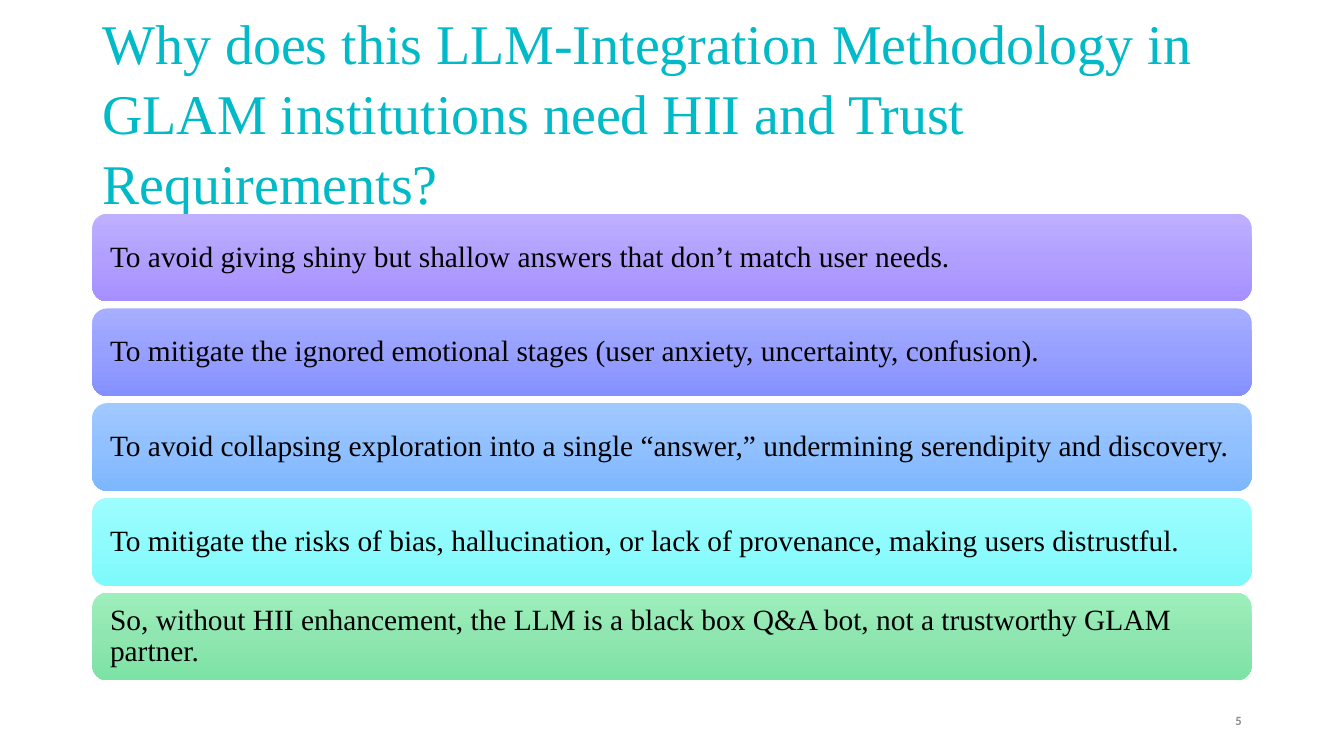
from copy import deepcopy

from pptx import Presentation
from pptx.dml.color import RGBColor
from pptx.enum import shapes, text
from pptx.oxml.ns import qn
from pptx.util import Pt

TITLE = ("Why does this LLM-Integration Methodology in GLAM institutions "
         "need HII and Trust Requirements?")
REASONS = [
    ("To avoid giving shiny but shallow answers that don’t match user needs.",
     ("BFB0FF", "B2A0FF", "A690FF")),
    ("To mitigate the ignored emotional stages (user anxiety, uncertainty, confusion).",
     ("A6AFFF", "97A0FF", "8490FF")),
    ("To avoid collapsing exploration into a single “answer,” undermining serendipity and discovery.",
     ("A0C9FF", "91C0FF", "7DB7FF")),
    ("To mitigate the risks of bias, hallucination, or lack of provenance, making users distrustful.",
     ("9EFDFF", "90FBFD", "7CFAFC")),
    ("So, without HII enhancement, the LLM is a black box Q&A bot, not a trustworthy GLAM partner.",
     ("9DEFBB", "90E6B0", "7CE3A5")),
]
PAGE_NUMBER = "5"

TEAL = RGBColor(0x00, 0xBA, 0xC8)
BLACK = RGBColor(0x00, 0x00, 0x00)
GRAY = RGBColor(0x8C, 0x8C, 0x8C)
SERIF = "Times New Roman"

LEFT, WIDTH = 66, 828
BARS_TOP, BAR_HEIGHT, BAR_GAP = 152.7, 62.6, 5.05


def write(frame, words, size, color, font=SERIF, bold=False,
          align=text.PP_ALIGN.LEFT, anchor=text.MSO_ANCHOR.MIDDLE, spacing=1.0):
    frame.word_wrap = True
    frame.vertical_anchor = anchor
    paragraph = frame.paragraphs[0]
    paragraph.alignment = align
    paragraph.line_spacing = spacing
    run = paragraph.add_run()
    run.text = words
    run.font.name = font
    run.font.size = Pt(size)
    run.font.bold = bold
    run.font.color.rgb = color


def shade(bar, colors):
    bar.fill.gradient()
    bar.fill.gradient_angle = 270
    stop_list = bar._element.spPr.find(qn("a:gradFill")).find(qn("a:gsLst"))
    stop_list.insert(1, deepcopy(stop_list[0]))
    for position, (stop, color) in enumerate(zip(bar.fill.gradient_stops, colors)):
        stop.position = position / 2
        stop.color.rgb = RGBColor.from_string(color)


def add_reason(slide, index, words, colors):
    top = BARS_TOP + index * (BAR_HEIGHT + BAR_GAP)
    bar = slide.shapes.add_shape(shapes.MSO_SHAPE.ROUNDED_RECTANGLE,
                                 Pt(LEFT), Pt(top), Pt(WIDTH), Pt(BAR_HEIGHT))
    bar.shadow.inherit = False
    bar.line.fill.background()
    shade(bar, colors)
    frame = bar.text_frame
    frame.margin_left = frame.margin_right = Pt(9.6)
    write(frame, words, 21, BLACK, spacing=0.9)


def main():
    deck = Presentation()
    deck.slide_width, deck.slide_height = Pt(960), Pt(540)
    slide = deck.slides.add_slide(deck.slide_layouts[6])

    title = slide.shapes.add_textbox(Pt(LEFT), Pt(53.3), Pt(WIDTH), Pt(104.4))
    write(title.text_frame, TITLE, 40, TEAL,
          anchor=text.MSO_ANCHOR.BOTTOM, spacing=1.04)

    for index, (words, colors) in enumerate(REASONS):
        add_reason(slide, index, words, colors)

    number = slide.shapes.add_textbox(Pt(678), Pt(500.5), Pt(216), Pt(28.8))
    write(number.text_frame, PAGE_NUMBER, 9, GRAY, font="Calibri", bold=True,
          align=text.PP_ALIGN.RIGHT)

    deck.save("out.pptx")


if __name__ == "__main__":
    main()
